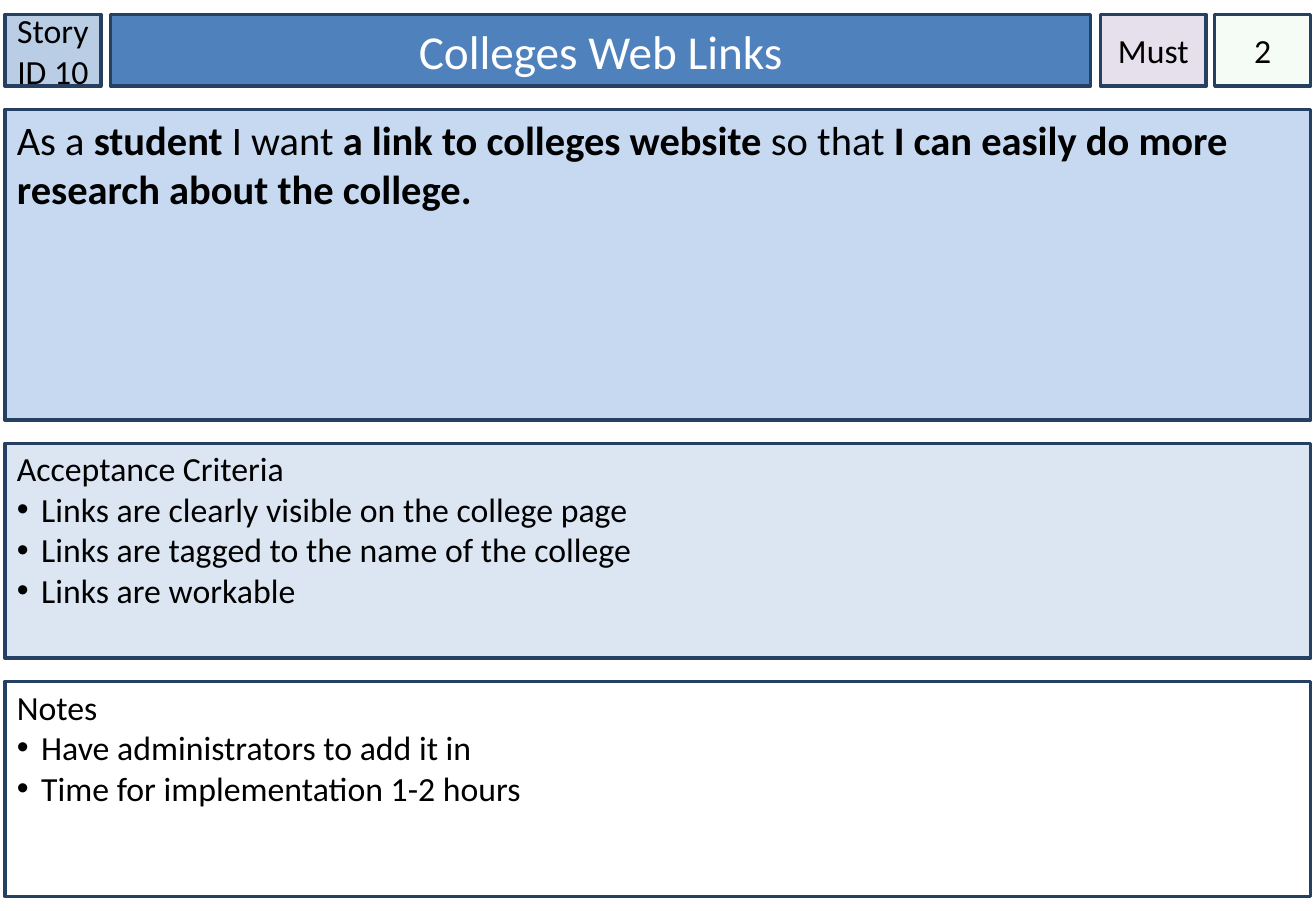
from lxml import etree
from pptx import Presentation
from pptx.dml.color import RGBColor
from pptx.enum import shapes, text
from pptx.oxml import ns
from pptx.util import Pt

NAVY = RGBColor(0x25, 0x40, 0x61)
BLACK = RGBColor(0x00, 0x00, 0x00)
WHITE = RGBColor(0xFF, 0xFF, 0xFF)
ID_BLUE = RGBColor(0xB9, 0xCD, 0xE5)
TITLE_BLUE = RGBColor(0x4F, 0x81, 0xBD)
STORY_BLUE = RGBColor(0xC6, 0xD9, 0xF1)
CRITERIA_BLUE = RGBColor(0xDC, 0xE6, 0xF2)
PRIORITY_LILAC = RGBColor(0xE6, 0xE0, 0xEC)
POINTS_GREEN = RGBColor(0xCC, 0xF0, 0xCD)

LEFT, FULL_WIDTH = 2.9, 774
HEADER_TOP, HEADER_HEIGHT = 8.6, 42.5
INDENT = 14.4


def add_box(left, top, width, height, fill, **frame_format):
    shape = slide.shapes.add_shape(
        shapes.MSO_SHAPE.RECTANGLE, Pt(left), Pt(top), Pt(width), Pt(height))
    shape.shadow.inherit = False
    shape.fill.solid()
    shape.fill.fore_color.rgb = fill
    shape.line.color.rgb = NAVY
    shape.line.width = Pt(2)
    for name, value in frame_format.items():
        setattr(shape.text_frame, name, value)
    return shape


def add_run(paragraph, words, size, color=BLACK, bold=False):
    run = paragraph.add_run()
    run.text = words
    run.font.color.rgb = color
    for name, value in {"name": "Calibri", "size": Pt(size), "bold": bold}.items():
        setattr(run.font, name, value)


presentation = Presentation()
presentation.slide_width, presentation.slide_height = Pt(780), Pt(540)
slide = presentation.slides.add_slide(presentation.slide_layouts[6])

# Header row: story number, title, priority and points
middle = {"vertical_anchor": text.MSO_ANCHOR.MIDDLE, "word_wrap": True}
narrow = {**middle, "margin_left": 0, "margin_right": 0}
unwrapped = {**narrow, "word_wrap": False}
header = [
    ("Story ID 10", LEFT, 56.9, ID_BLUE, 20, BLACK, narrow),
    ("Colleges Web Links", 65.5, 581, TITLE_BLUE, 28, WHITE, middle),
    ("Must", 652.3, 62.6, PRIORITY_LILAC, 20, BLACK, unwrapped),
    ("2", 720, 56.9, POINTS_GREEN, 20, BLACK, narrow),
]
for words, left, width, fill, size, color, frame_format in header:
    shape = add_box(left, HEADER_TOP, width, HEADER_HEIGHT, fill, **frame_format)
    paragraph = shape.text_frame.paragraphs[0]
    paragraph.alignment = text.PP_ALIGN.CENTER
    add_run(paragraph, words, size, color)

# The points box, last in the row, is 20% opaque
fill_color = shape.fill._xPr.find(ns.qn("a:solidFill"))[0]
etree.SubElement(fill_color, ns.qn("a:alpha"), val="20000")

# User story, with the key phrases in bold
top_aligned = {"vertical_anchor": text.MSO_ANCHOR.TOP, "word_wrap": True}
story = add_box(LEFT, 64.8, FULL_WIDTH, 184.3, STORY_BLUE, **top_aligned)
paragraph = story.text_frame.paragraphs[0]
paragraph.alignment = text.PP_ALIGN.LEFT
phrases = ["As a ", "student", " I want ", "a link to colleges website ", "so that ",
           "I can easily do more research about the college."]
for index, phrase in enumerate(phrases):
    add_run(paragraph, phrase, 24, bold=index % 2 == 1)

# Bulleted panels: acceptance criteria and notes
panels = [
    (262.8, CRITERIA_BLUE, "Acceptance Criteria", [
        "Links are clearly visible on the college page",
        "Links are tagged to the name of the college",
        "Links are workable"]),
    (403.9, WHITE, "Notes", [
        "Have administrators to add it in",
        "Time for implementation 1-2 hours"]),
]
for top, fill, heading, items in panels:
    panel = add_box(LEFT, top, FULL_WIDTH, 127.4, fill, margin_top=Pt(2.9), **top_aligned)
    paragraph = panel.text_frame.paragraphs[0]
    paragraph.alignment = text.PP_ALIGN.LEFT
    add_run(paragraph, heading, 20)
    for item in items:
        paragraph = panel.text_frame.add_paragraph()
        paragraph.alignment = text.PP_ALIGN.LEFT
        add_run(paragraph, item, 20)
        properties = paragraph._p.get_or_add_pPr()
        properties.set("marL", str(Pt(INDENT)))
        properties.set("indent", str(Pt(-INDENT)))
        etree.SubElement(properties, ns.qn("a:buFont"), typeface="Arial")
        etree.SubElement(properties, ns.qn("a:buChar"), char="•")

presentation.save("out.pptx")
